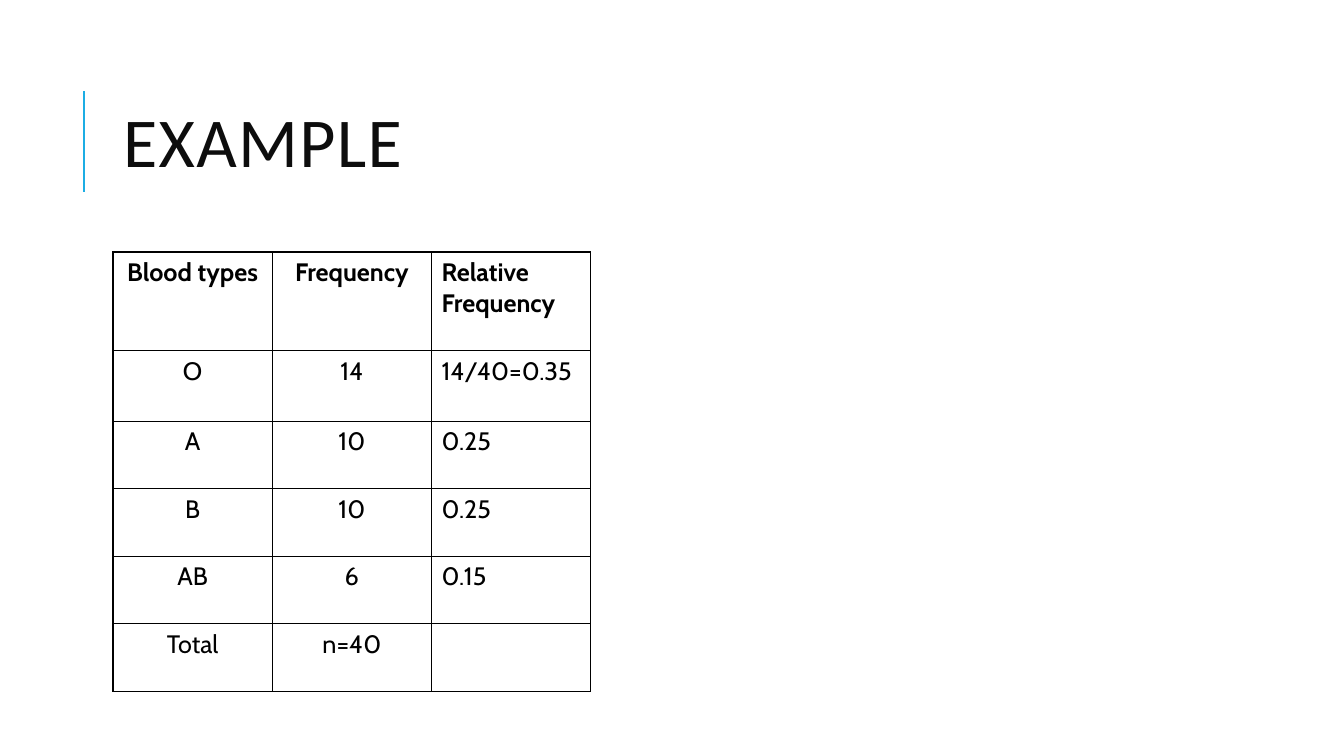
from pptx import Presentation
from pptx.dml.color import RGBColor
from pptx.enum.shapes import MSO_CONNECTOR
from pptx.enum.text import MSO_ANCHOR, MSO_AUTO_SIZE, PP_ALIGN
from pptx.oxml.ns import qn
from pptx.util import Inches, Pt
from lxml.etree import SubElement

BLACK = RGBColor(0x00, 0x00, 0x00)
INK = RGBColor(0x0D, 0x0D, 0x0D)
ACCENT = RGBColor(0x1C, 0xAD, 0xE4)

BLOOD_TYPES = [
    ("Blood types", "Frequency", "Relative Frequency"),
    ("O", "14", "14/40=0.35"),
    ("A", "10", "0.25"),
    ("B", "10", "0.25"),
    ("AB", "6", "0.15"),
    ("Total", "n=40", ""),
]
ROW_HEIGHTS = [0.98, 0.7] + [0.67] * 4


def add_accent_line(page, left, top, height):
    """Draw the vertical accent rule beside the title."""
    line = page.shapes.add_connector(
        MSO_CONNECTOR.STRAIGHT, Inches(left), Inches(top + height),
        Inches(left), Inches(top))
    line.line.color.rgb = ACCENT
    line.line.width = Pt(1.5)
    SubElement(line._element.spPr, qn("a:effectLst"))


def add_title(page, text, left, top, width, height):
    """Place and format the title placeholder."""
    title = page.shapes.title
    title.left, title.top = Inches(left), Inches(top)
    title.width, title.height = Inches(width), Inches(height)
    frame = title.text_frame
    frame.text = text
    frame.auto_size = MSO_AUTO_SIZE.NONE
    frame.vertical_anchor = MSO_ANCHOR.MIDDLE
    para = frame.paragraphs[0]
    para.alignment = PP_ALIGN.LEFT
    para.line_spacing = 0.8
    span = para.runs[0]
    span.font.name = "Calibri"
    span.font.size = Pt(50)
    span.font.color.rgb = INK
    span.font._element.set("spc", "100")


def add_borders(cell):
    """Give a cell thin black borders on all four sides."""
    properties = cell._tc.get_or_add_tcPr()
    for index, side in enumerate(("lnL", "lnR", "lnT", "lnB")):
        border = properties.makeelement(qn(f"a:{side}"), {"w": str(Pt(1))})
        properties.insert(index, border)
        fill = SubElement(border, qn("a:solidFill"))
        SubElement(fill, qn("a:srgbClr"), val=str(BLACK))


def fill_cell(cell, text, alignment, bold):
    """Write one table cell and set its look."""
    cell.fill.background()
    add_borders(cell)
    cell.text_frame.text = text
    para = cell.text_frame.paragraphs[0]
    para.alignment = alignment
    for span in para.runs:
        span.font.name = "Cabin"
        span.font.size = Pt(18)
        span.font.bold = bold
        span.font.color.rgb = BLACK


def add_frequency_table(page, left, top, width):
    """Build the blood type table with equal columns."""
    count = len(BLOOD_TYPES[0])
    table = page.shapes.add_table(
        len(BLOOD_TYPES), count, Inches(left), Inches(top),
        Inches(width), Inches(sum(ROW_HEIGHTS))).table
    table.first_row = table.horz_banding = False
    for column in table.columns:
        column.width = Inches(width / count)
    for r, (values, height) in enumerate(zip(BLOOD_TYPES, ROW_HEIGHTS)):
        table.rows[r].height = Inches(height)
        for c, value in enumerate(values):
            alignment = PP_ALIGN.LEFT if c == count - 1 else PP_ALIGN.CENTER
            fill_cell(table.cell(r, c), value, alignment, bold=r == 0)


def build_example(deck):
    """Add the example slide."""
    page = deck.slides.add_slide(deck.slide_layouts[5])
    add_accent_line(page, 0.83, 0.9, 1)
    add_title(page, "EXAMPLE", 1.12, 0.64, 10.63, 1.64)
    add_frequency_table(page, 1.12, 2.5, 4.74)


deck = Presentation()
deck.slide_width, deck.slide_height = Inches(13.33), Inches(7.5)
build_example(deck)
deck.save("out.pptx")
